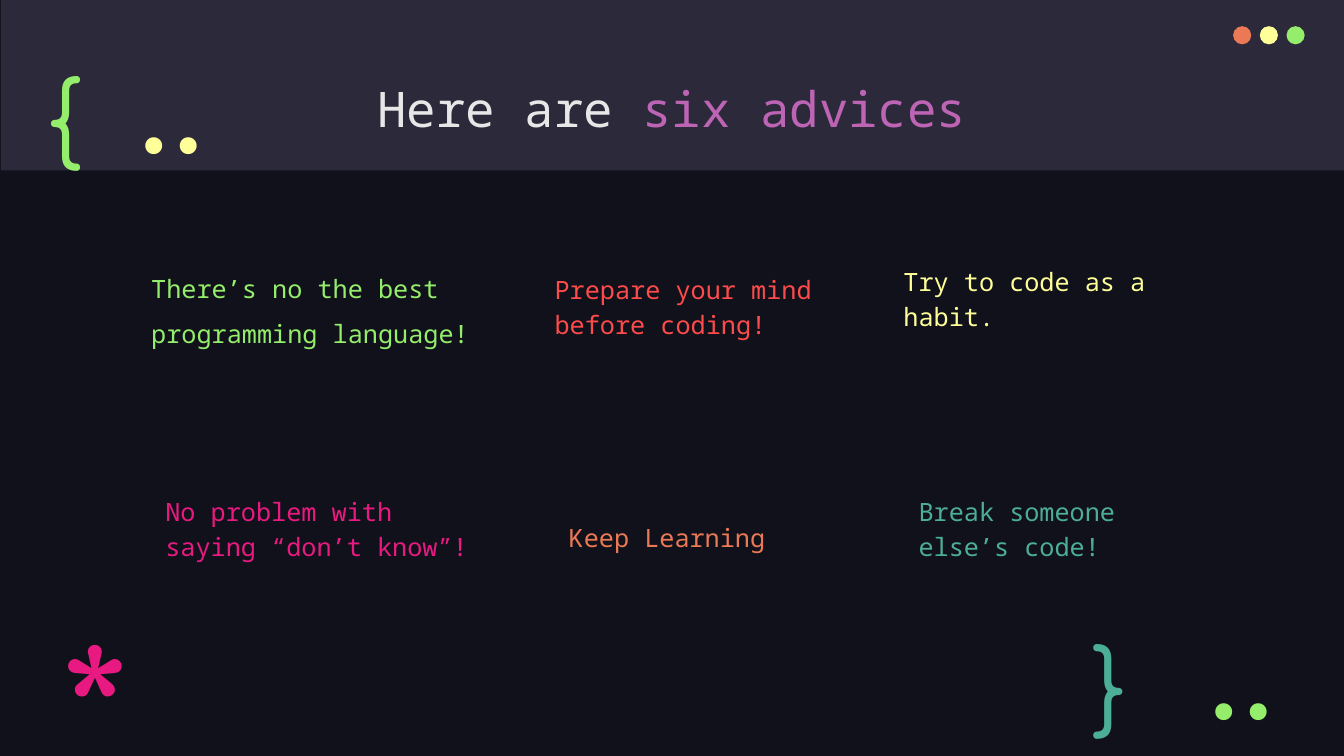
from pptx import Presentation
from pptx.dml.color import RGBColor
from pptx.enum.shapes import MSO_SHAPE
from pptx.enum.text import MSO_ANCHOR, PP_ALIGN
from pptx.util import Inches, Pt

NIGHT = RGBColor(0x10, 0x11, 0x1A)
BAND = RGBColor(0x2C, 0x29, 0x3A)
WHITE = RGBColor(0xE7, 0xE7, 0xE7)
PURPLE = RGBColor(0xBD, 0x64, 0xB5)
GREEN = RGBColor(0x94, 0xEE, 0x6B)
RED = RGBColor(0xFD, 0x4A, 0x4A)
YELLOW = RGBColor(0xFF, 0xFF, 0x99)
PINK = RGBColor(0xE8, 0x1A, 0x81)
ORANGE = RGBColor(0xEC, 0x79, 0x55)
TEAL = RGBColor(0x4C, 0xAE, 0x97)

MONO, ROUND, CODE = "Noto Sans Mono", "Comfortaa", "Fira Code"

# box, colour, hanging indent, (text, line spacing) per paragraph
ADVICES = [
    ((1.22, 2.52, 3.72, 1.07), GREEN, True,
     [("There’s no the best", 1.15), ("programming language!", 1.5)]),
    ((5.22, 2.62, 3.18, 0.88), RED, True,
     [("Prepare your mind", 1.5), ("before coding!", 1.15)]),
    ((8.83, 2.7, 2.88, 0.72), YELLOW, False,
     [("Try to code as a \vhabit.", 1.15)]),
    ((1.36, 4.98, 3.58, 0.72), PINK, True,
     [("No problem with", 1.15), ("saying “don’t know”!", 1.15)]),
    ((5.51, 5.07, 2.88, 0.54), ORANGE, False, [("Keep Learning", 1.15)]),
    ((8.83, 4.98, 2.88, 0.72), TEAL, True,
     [("Break someone", 1.15), ("else’s code!", 1.15)]),
]

# text, box, size, font, colour
SYMBOLS = [
    ("{", (0.33, 0.43, 1.03, 1.27), 66.7, ROUND, GREEN),
    ("}", (10.71, 6.06, 0.76, 1.11), 66.7, ROUND, TEAL),
    ("*", (0.47, 5.88, 0.76, 1.15), 128, ROUND, PINK),
    ("..", (11.59, 6.37, 1.42, 0.8), 66.7, CODE, GREEN),
    ("..", (0.98, 0.75, 1.42, 0.8), 66.7, CODE, YELLOW),
]


def add_text_frame(s, box, anchor=MSO_ANCHOR.TOP):
    tf = s.shapes.add_textbox(*map(Inches, box)).text_frame
    tf.word_wrap = True
    tf.vertical_anchor = anchor
    tf.margin_left = tf.margin_right = Inches(0.13)
    tf.margin_top = tf.margin_bottom = Inches(0.13)
    return tf


def style(font, name, size, color):
    font.name, font.size, font.color.rgb = name, Pt(size), color


def add_filled(s, kind, box, color):
    sp = s.shapes.add_shape(kind, *map(Inches, box))
    sp.shadow.inherit = False
    sp.fill.solid()
    sp.fill.fore_color.rgb = color
    sp.line.fill.background()


def add_title(s, box):
    p = add_text_frame(s, box).paragraphs[0]
    p.alignment = PP_ALIGN.CENTER
    for text, color in (("Here are ", WHITE), ("six advices", PURPLE)):
        r = p.add_run()
        r.text = text
        style(r.font, MONO, 35, color)


def add_window_dots(s, left, top):
    for i, color in enumerate((ORANGE, YELLOW, GREEN)):
        add_filled(s, MSO_SHAPE.OVAL, (left + i * 0.265, top, 0.18, 0.18), color)


def add_advice(s, box, color, hanging, lines):
    tf = add_text_frame(s, box, MSO_ANCHOR.BOTTOM)
    for i, (text, spacing) in enumerate(lines):
        p = tf.add_paragraph() if i else tf.paragraphs[0]
        p.text = text
        p.line_spacing = spacing
        if hanging:
            pPr = p._p.get_or_add_pPr()
            pPr.set("marL", str(Inches(0.5)))
            pPr.set("indent", str(Inches(-0.35)))
        for r in p.runs:
            style(r.font, MONO, 18, color)


def add_symbol(s, text, box, size, font, color):
    dots = font == CODE
    tf = add_text_frame(s, box, MSO_ANCHOR.MIDDLE if dots else MSO_ANCHOR.TOP)
    tf.text = text
    p = tf.paragraphs[0]
    p.alignment = PP_ALIGN.RIGHT if dots else PP_ALIGN.LEFT
    style(p.runs[0].font, font, size, color)


def main():
    prs = Presentation()
    prs.slide_width, prs.slide_height = Inches(13.33), Inches(7.5)
    s = prs.slides.add_slide(prs.slide_layouts[6])
    s.background.fill.solid()
    s.background.fill.fore_color.rgb = NIGHT

    add_filled(s, MSO_SHAPE.RECTANGLE, (0.01, 0, 13.33, 1.69), BAND)
    add_title(s, (1.05, 0.65, 11.23, 0.84))
    for advice in ADVICES:
        add_advice(s, *advice)
    for symbol in SYMBOLS:
        add_symbol(s, *symbol)
    add_window_dots(s, 12.23, 0.26)
    prs.save("out.pptx")


if __name__ == "__main__":
    main()
